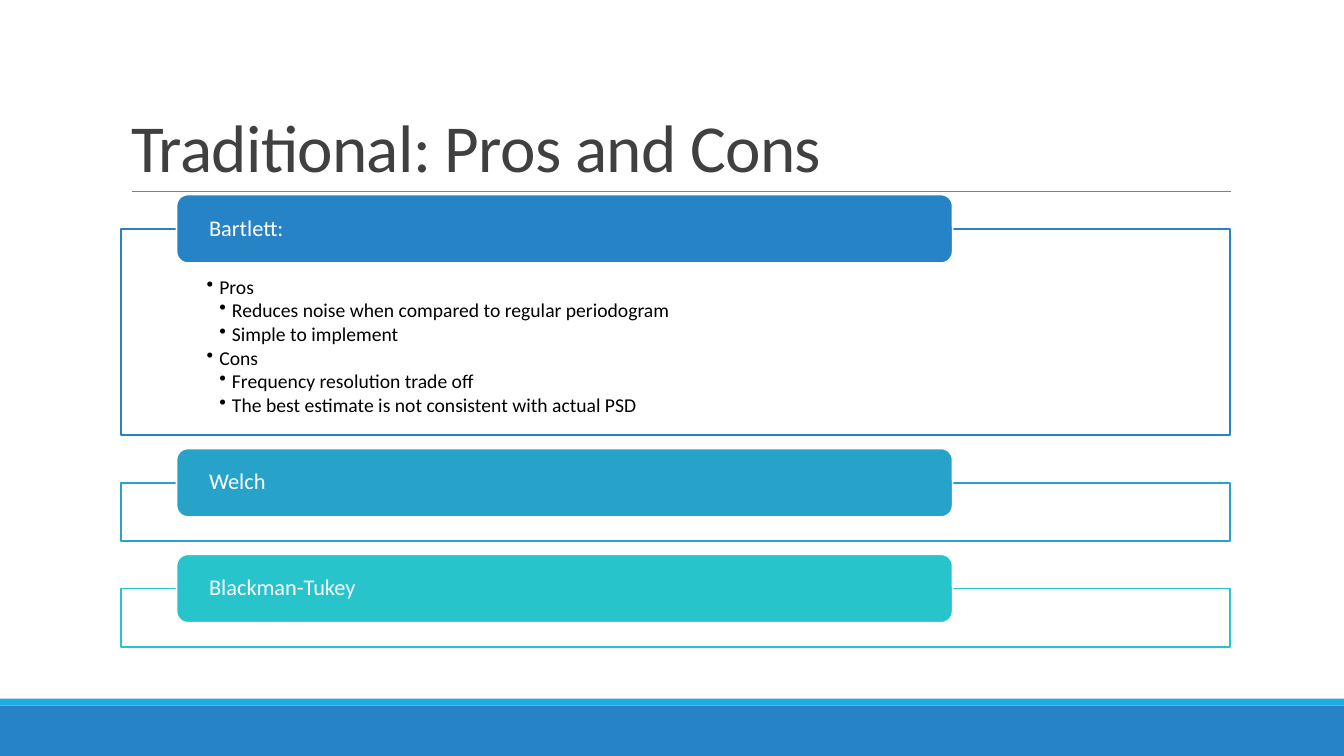
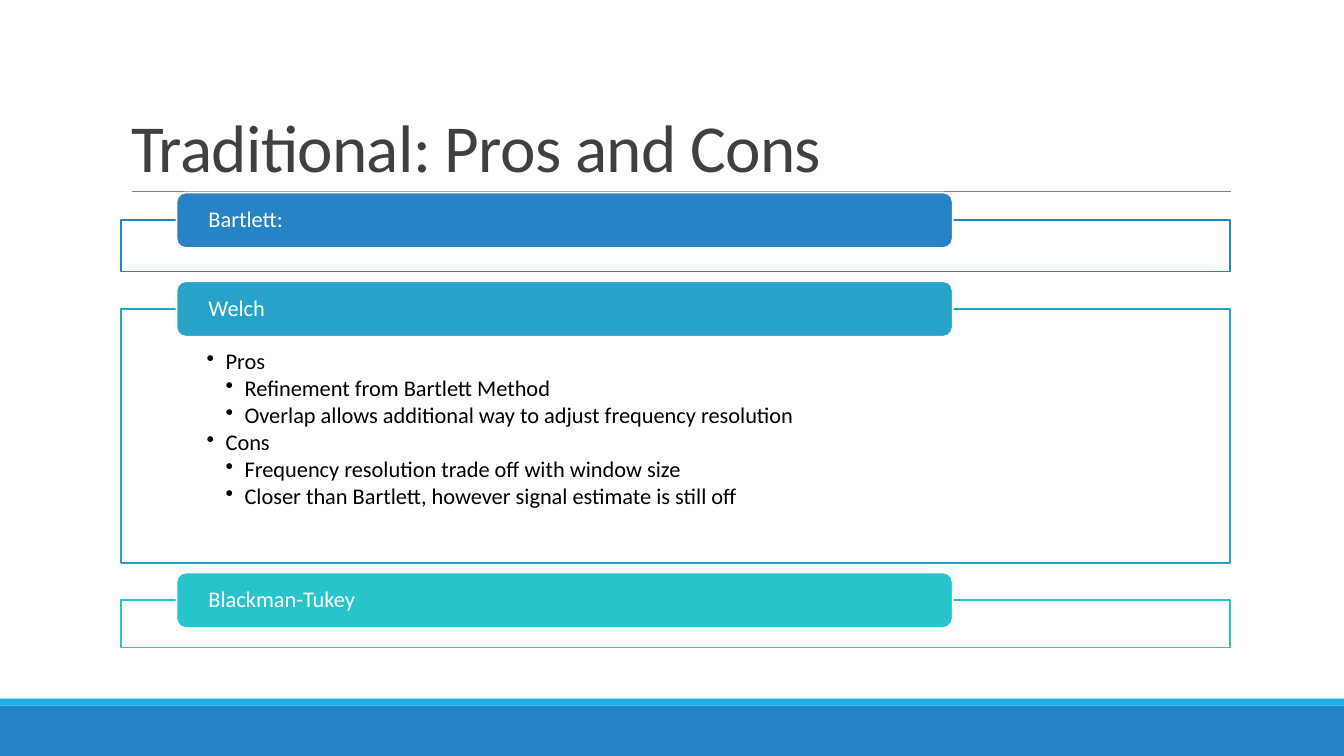
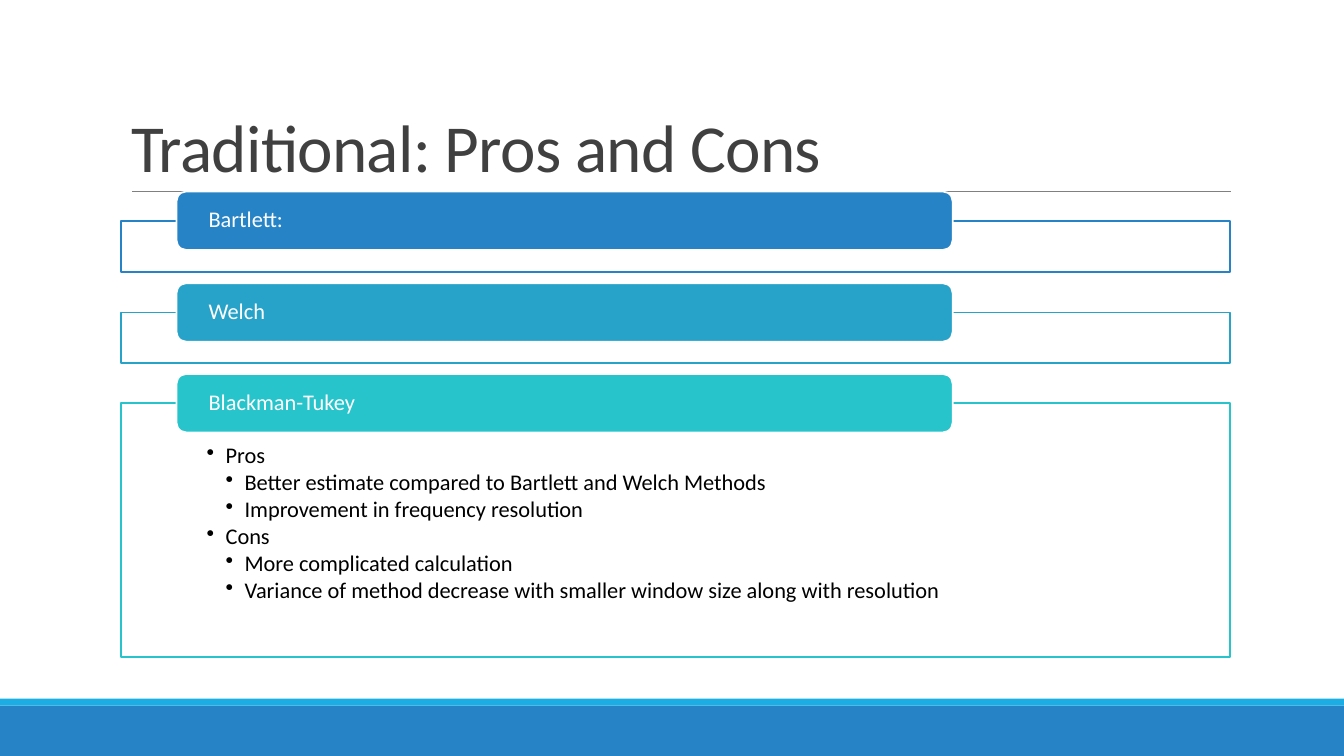
import pptx
import pptx.util
import pptx.dml.color
import pptx.enum.shapes
import pptx.enum.text
import pptx.oxml.ns
from lxml import etree

COLORS = {
    "bartlett": "2683C6", "welch": "27A3C9", "blackman": "28C4CC",
    "footer": "2683C6", "stripe": "1CADE4", "rule": "808080",
    "title": "404040", "body": "000000", "white": "FFFFFF",
}
FONT = "Calibri"
SHAPES = pptx.enum.shapes.MSO_SHAPE
ANCHORS = pptx.enum.text.MSO_ANCHOR
qn = pptx.oxml.ns.qn

deck = pptx.Presentation()
deck.slide_width = pptx.util.Inches(13.33)
deck.slide_height = pptx.util.Inches(7.5)

# One column is 1% of the slide's width, one row 1% of its height.
COL = deck.slide_width / 100
ROW = deck.slide_height / 100
LEFT, WIDTH = 9, 82.5
TAB_LEFT, TAB_WIDTH = 13.13, 57.75

METHODS = [("Bartlett:", "bartlett"), ("Welch", "welch"), ("Blackman-Tukey", "blackman")]

# Each slide opens one method; top, tab, gap, frames and body_top are in rows, indent in columns.
SLIDES = [
    dict(opened=0, top=25.73, tab=9.07, gap=1.73, frames=[27.33, 7.73, 7.73],
         size=14, indent=0.94, body_top=6.4,
         points={"Pros": ["Reduces noise when compared to regular periodogram",
                          "Simple to implement"],
                 "Cons": ["Frequency resolution trade off",
                          "The best estimate is not consistent with actual PSD"]}),
    dict(opened=1, top=25.47, tab=7.33, gap=1.27, frames=[6.8, 33.6, 6.27],
         size=16, indent=1.41, body_top=5.47,
         points={"Pros": ["Refinement from Bartlett Method",
                          "Overlap allows additional way to adjust frequency resolution"],
                 "Cons": ["Frequency resolution trade off with window size",
                          "Closer than Bartlett, however signal estimate is still off"]}),
    dict(opened=2, top=25.33, tab=7.73, gap=1.47, frames=[6.8, 6.67, 33.6],
         size=16, indent=1.41, body_top=5.47,
         points={"Pros": ["Better estimate compared to Bartlett and Welch Methods",
                          "Improvement in frequency resolution"],
                 "Cons": ["More complicated calculation",
                          "Variance of method decrease with smaller window size along with resolution"]}),
]


def add_block(kind, left, top, width, height, fill, line=None):
    """Add a filled shape to the current slide, placed in columns and rows."""
    block = slide.shapes.add_shape(kind, *map(int, (left * COL, top * ROW, width * COL, height * ROW)))
    block.shadow.inherit = False
    block.fill.solid()
    block.fill.fore_color.rgb = pptx.dml.color.RGBColor.from_string(COLORS[fill])
    if line:
        block.line.color.rgb = pptx.dml.color.RGBColor.from_string(COLORS[line])
        block.line.width = pptx.util.Pt(1.25)
    else:
        block.line.fill.background()
    return block


def write(holder, lines, size, color, anchor, inset, top=0, spacing=0.9,
          after=0, indent=0, tracking=0):
    """Write (level, text) lines; level 0 is plain, deeper levels are bulleted."""
    frame = holder.text_frame
    frame.word_wrap = True
    frame.vertical_anchor = anchor
    frame.margin_left = frame.margin_right = int(inset * COL)
    frame.margin_top, frame.margin_bottom = int(top * ROW), 0
    for number, (level, text) in enumerate(lines):
        paragraph = frame.add_paragraph() if number else frame.paragraphs[0]
        paragraph.alignment = pptx.enum.text.PP_ALIGN.LEFT
        paragraph.line_spacing = spacing
        paragraph.space_after = pptx.util.Pt(after)
        if level:
            properties = paragraph._p.get_or_add_pPr()
            properties.set("marL", str(int(level * indent * COL)))
            properties.set("indent", str(int(-indent * COL)))
            etree.SubElement(properties, qn("a:buChar")).set("char", "•")
        run = paragraph.add_run()
        run.text = text
        run.font.name = FONT
        run.font.size = pptx.util.Pt(size)
        run.font.color.rgb = pptx.dml.color.RGBColor.from_string(COLORS[color])
        if tracking:
            run._r.get_or_add_rPr().set("spc", str(int(tracking * 100)))


for content in SLIDES:
    slide = deck.slides.add_slide(deck.slide_layouts[6])

    add_block(SHAPES.RECTANGLE, 0, 93.33, 100, 6.67, "footer")
    add_block(SHAPES.RECTANGLE, 0, 92.4, 100, 0.93, "stripe")
    rule = slide.shapes.add_connector(
        pptx.enum.shapes.MSO_CONNECTOR.STRAIGHT,
        *map(int, (9.83 * COL, 25.33 * ROW, 91.58 * COL, 25.33 * ROW)))
    rule.line.color.rgb = pptx.dml.color.RGBColor.from_string(COLORS["rule"])
    rule.line.width = pptx.util.Pt(0.5)
    etree.SubElement(rule._element.spPr, qn("a:effectLst"))

    title = slide.shapes.add_textbox(*map(int, (LEFT * COL, 4.13 * ROW, WIDTH * COL, 20.53 * ROW)))
    write(title, [(0, "Traditional: Pros and Cons")], size=48, color="title",
          anchor=ANCHORS.BOTTOM, inset=0.75, spacing=0.85, tracking=-0.5)

    tab_top = content["top"]
    for index, (method, color) in enumerate(METHODS):
        frame_top = tab_top + content["tab"] / 2
        frame_height = content["frames"][index]
        panel = add_block(SHAPES.RECTANGLE, LEFT, frame_top, WIDTH, frame_height, "white", color)
        opacity = etree.SubElement(panel._element.spPr.find(qn("a:solidFill"))[0], qn("a:alpha"))
        opacity.set("val", "90000")
        if index == content["opened"]:
            lines = []
            for heading, details in content["points"].items():
                lines += [(1, heading)] + [(2, detail) for detail in details]
            write(panel, lines, size=content["size"], color="body", anchor=ANCHORS.TOP,
                  inset=6.38, top=content["body_top"], after=content["size"] / 8,
                  indent=content["indent"])
        tab = add_block(SHAPES.ROUNDED_RECTANGLE, TAB_LEFT, tab_top, TAB_WIDTH,
                        content["tab"], color, "white")
        write(tab, [(0, method)], size=16, color="white", anchor=ANCHORS.MIDDLE, inset=2.18)
        tab_top = frame_top + frame_height + content["gap"]

deck.save("out.pptx")
